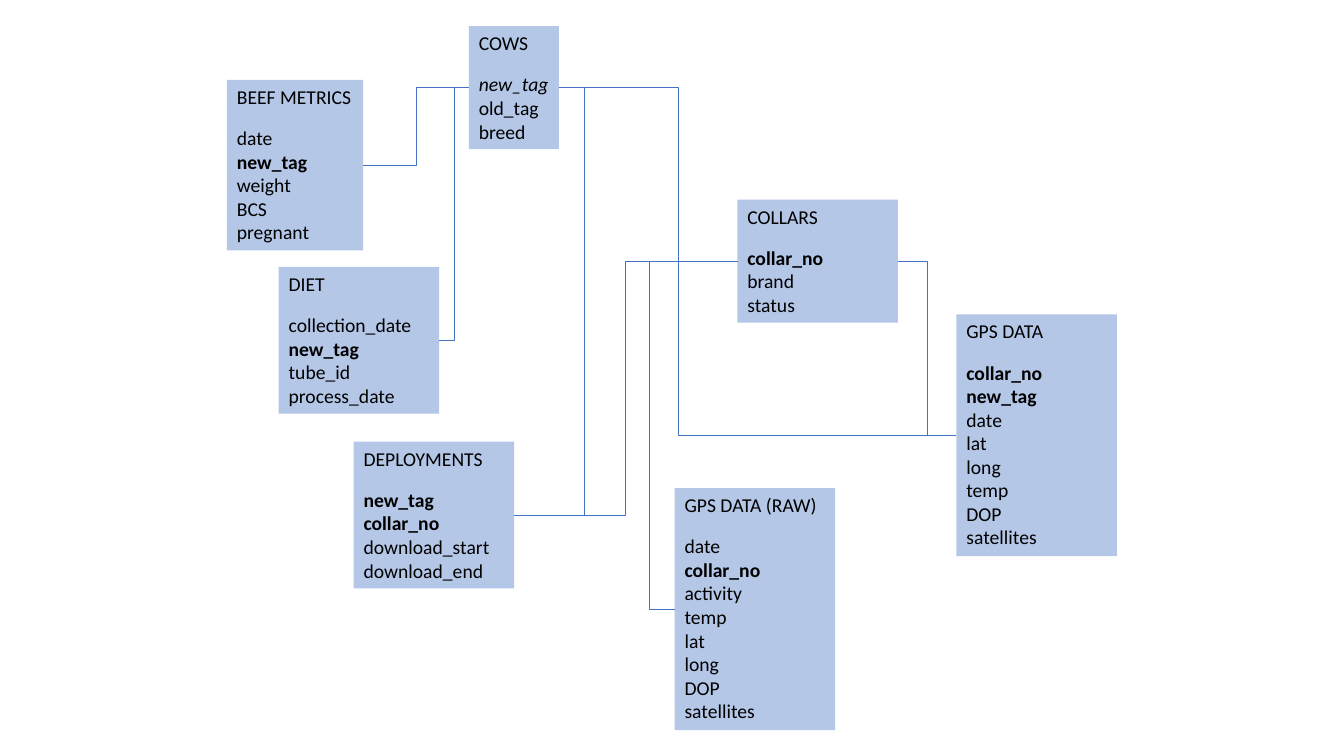
from lxml.etree import SubElement
from pptx import Presentation
from pptx.dml.color import RGBColor as RGB
from pptx.enum.shapes import MSO_CONNECTOR as LINK, MSO_SHAPE as SHAPE
from pptx.enum.text import MSO_ANCHOR as ANCHOR, MSO_AUTO_SIZE as FIT, PP_ALIGN as ALIGN
from pptx.oxml.ns import qn
from pptx.util import Pt

HUES = {"box": "B4C7E7", "line": "4472C4", "text": "000000"}
WIDE, ROW, GAP, PAD = 114.7, 17, 12.6, 7.2
LEFT, RIGHT = 1, 3

TABLES = {
    "COWS": (334.9, 18.7, 64.4, ["new_tag", "old_tag", "breed"]),
    "BEEF METRICS": (162.1, 57, 97.4, ["date", "new_tag", "weight", "BCS", "pregnant"]),
    "DIET": (199.1, 190.6, WIDE, ["collection_date", "new_tag", "tube_id", "process_date"]),
    "DEPLOYMENTS": (252.6, 315.5, WIDE,
                    ["new_tag", "collar_no", "download_start", "download_end"]),
    "GPS DATA (RAW)": (481.9, 348.7, WIDE,
                       ["date", "collar_no", "activity", "temp", "lat", "long",
                        "DOP", "satellites"]),
    "GPS DATA": (683.2, 224.5, WIDE,
                 ["collar_no", "new_tag", "date", "lat", "long", "temp",
                  "DOP", "satellites"]),
    "COLLARS": (526.8, 142.6, WIDE, ["collar_no", "brand", "status"]),
}
KEYS = {"new_tag", "collar_no"}

LINKS = [
    ("BEEF METRICS", RIGHT, "COWS", LEFT, 297.2),
    ("COWS", LEFT, "DIET", RIGHT, 324.5),
    ("COWS", RIGHT, "DEPLOYMENTS", RIGHT, 417.4),
    ("DEPLOYMENTS", RIGHT, "COLLARS", LEFT, 446.8),
    ("COLLARS", LEFT, "GPS DATA (RAW)", LEFT, 463.9),
    ("COLLARS", RIGHT, "GPS DATA", LEFT, 662.4),
    ("COWS", RIGHT, "GPS DATA", LEFT, 484.6),
]


def add_box(slide, title, left, top, width, fields):
    high = ROW * (len(fields) + 1) + GAP + PAD
    box = slide.shapes.add_shape(SHAPE.RECTANGLE, Pt(left), Pt(top), Pt(width), Pt(high))
    box.shadow.inherit = False
    box.fill.solid()
    box.fill.fore_color.rgb = RGB.from_string(HUES["box"])
    box.line.fill.background()
    frame = box.text_frame
    frame.word_wrap = width == WIDE
    frame.auto_size = FIT.SHAPE_TO_FIT_TEXT
    frame.vertical_anchor = ANCHOR.TOP
    for i, text in enumerate([title] + fields):
        para = frame.add_paragraph() if i else frame.paragraphs[0]
        para.text = text
        para.alignment = ALIGN.LEFT
        para.space_after = Pt(0 if i else GAP)
        font = para.font
        font.name, font.size = "Calibri", Pt(14)
        font.color.rgb = RGB.from_string(HUES["text"])
        font.bold = text in KEYS and title != "COWS"
        font.italic = text in KEYS and title == "COWS"
    return box


def find_port(box, side):
    x = box.left + (box.width if side == RIGHT else 0)
    return x, box.top + box.height // 2


def add_link(slide, start, exit, end, entry, bend):
    x1, y1 = find_port(start, exit)
    x2, y2 = find_port(end, entry)
    line = slide.shapes.add_connector(LINK.ELBOW, x1, y1, x2, y2)
    line.begin_connect(start, exit)
    line.end_connect(end, entry)
    line.line.color.rgb = RGB.from_string(HUES["line"])
    line.line.width = Pt(0.5)
    ratio = (Pt(bend) - x1) / (x2 - x1)
    props = line.element.spPr
    guides = props.find(qn("a:prstGeom")).find(qn("a:avLst"))
    SubElement(guides, qn("a:gd"), name="adj1", fmla=f"val {round(ratio * 100000)}")
    SubElement(props, qn("a:effectLst"))


def main():
    deck = Presentation()
    deck.slide_width, deck.slide_height = Pt(960), Pt(540)
    slide = deck.slides.add_slide(deck.slide_layouts[6])
    boxes = {title: add_box(slide, title, *rest) for title, rest in TABLES.items()}
    for start, exit, end, entry, bend in LINKS:
        add_link(slide, boxes[start], exit, boxes[end], entry, bend)
    deck.save("out.pptx")


if __name__ == "__main__":
    main()
